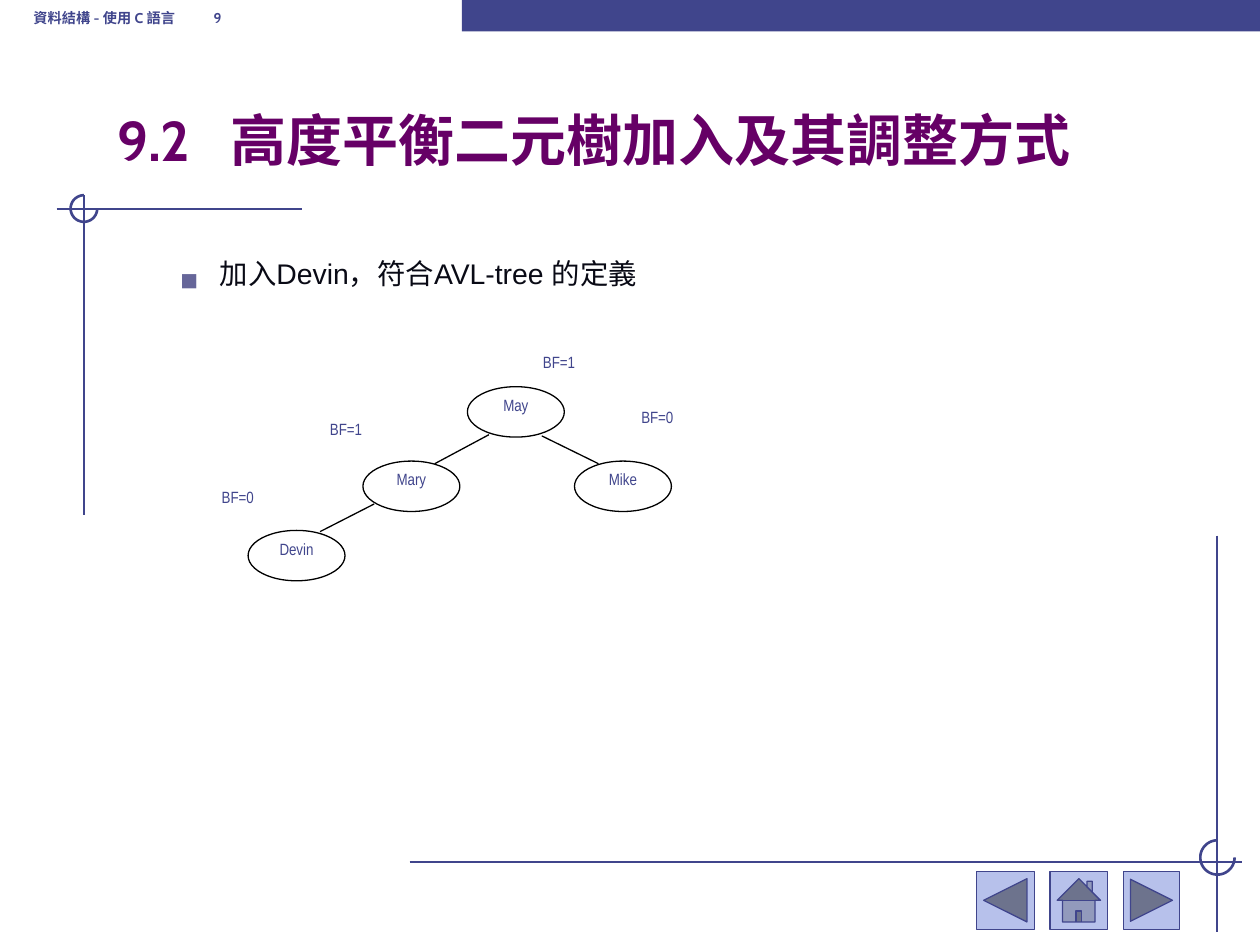
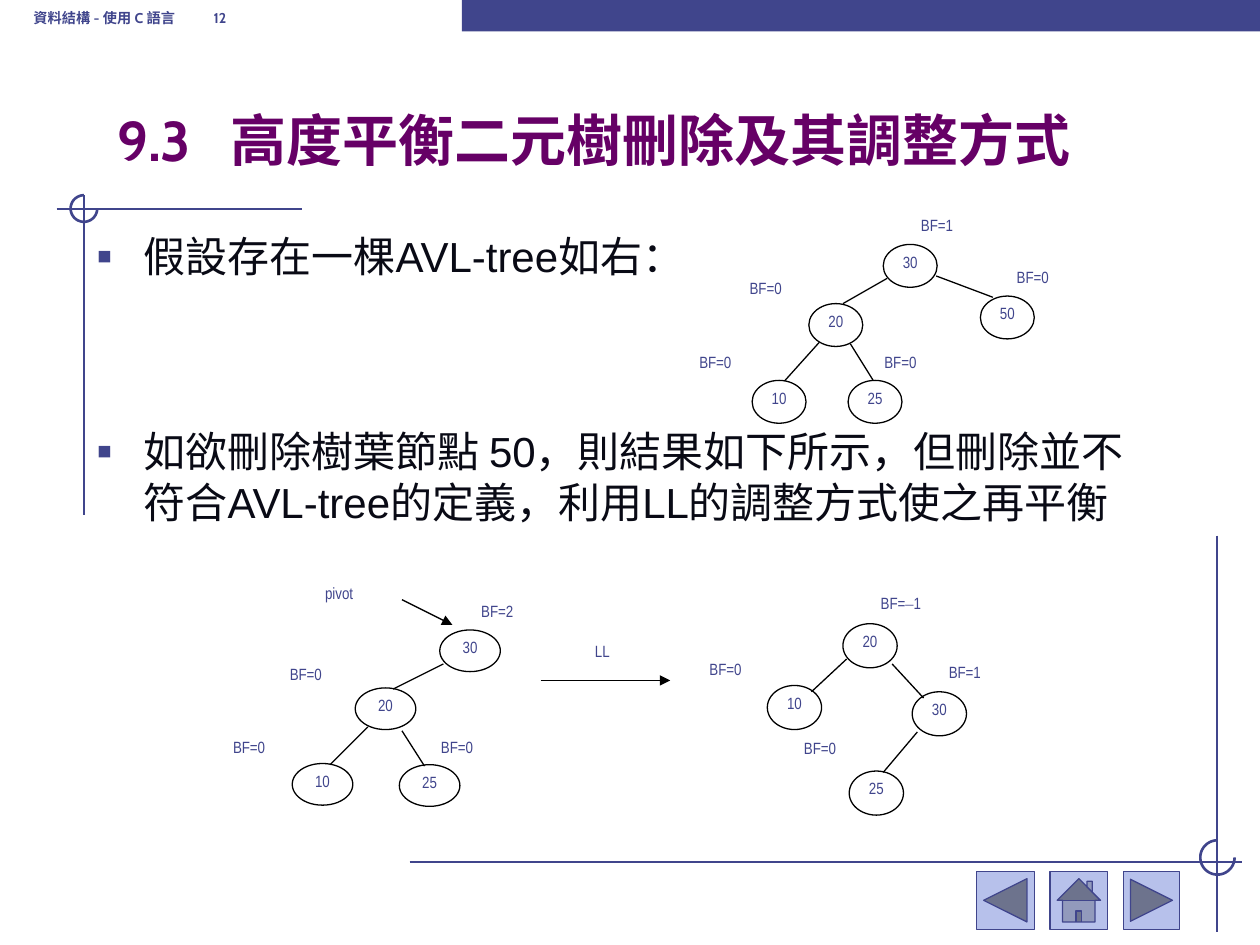
from itertools import groupby
from math import cos, radians, sin

from lxml.etree import SubElement
from pptx import Presentation
from pptx.dml.color import RGBColor
from pptx.enum.shapes import MSO_CONNECTOR, MSO_SHAPE
from pptx.enum.text import MSO_ANCHOR, PP_ALIGN
from pptx.oxml.ns import qn
from pptx.util import Pt

INDIGO, PLUM, INK, BLACK = "40458C", "660066", "090A15", "000000"
BUTTON_BLUE, BULLET_GREY = "B7C1EB", "666699"
HEADING_FONT, BODY_FONT, LABEL_FONT, DASH_FONT = "Cabin", "Arial", "Arial Narrow", "Times New Roman"
COURSE = "資料結構 - 使用 C 語言"

RULES = [(32.4, 119.5, 172.8, 119.5), (48, 111.6, 48, 294.5),
         (234, 492.5, 710, 492.5), (695.5, 306, 695.5, 532.8)]
RINGS = [(48, 119.2, 7.6), (695.7, 490, 9.8)]
BUTTONS = [
    (MSO_SHAPE.ACTION_BUTTON_BACK_OR_PREVIOUS, 558, 33),
    (MSO_SHAPE.ACTION_BUTTON_HOME, 600, 33),
    (MSO_SHAPE.ACTION_BUTTON_FORWARD_OR_NEXT, 642, 32),
]

DEVIN_TREE = {
    "node_size": (55.4, 28.8),
    "nodes": [("May", 267.1, 221), ("Mary", 207.4, 263.5), ("Mike", 328.3, 263.5),
              ("Devin", 141.8, 303.1)],
    "edges": [(279.4, 248.4, 248.4, 265), (309.6, 249.1, 342, 265),
              (213.8, 288, 182.9, 303.8)],
    "labels": [("BF=1", 310.3, 200.9), ("BF=1", 188.6, 239), ("BF=0", 366.5, 231.8),
               ("BF=0", 126.7, 277.9)],
}
FULL_TREE = {
    "node_size": (30.8, 24.5),
    "nodes": [("30", 504.7, 139.7), ("20", 462.2, 173.5), ("50", 560.2, 169.2),
              ("10", 429.8, 217.4), ("25", 484.6, 217.4)],
    "edges": [(481.7, 173.5, 506.9, 159.1), (535, 157.7, 567.4, 169.9),
              (448.6, 217.4, 468, 195.8), (486, 196.6, 499, 217.4)],
    "labels": [("BF=1", 526.3, 122.4), ("BF=0", 428.4, 158.4), ("BF=0", 581, 151.9),
               ("BF=0", 399.6, 200.9), ("BF=0", 505.4, 200.9)],
}
UNBALANCED_TREE = {
    "node_size": (34.6, 23.8),
    "nodes": [("30", 251.3, 360), ("20", 203, 393.1), ("10", 167, 436.3), ("25", 228.2, 437)],
    "edges": [(224.6, 393.8, 253.4, 379.4), (188.6, 437, 210.2, 415.4),
              (229.7, 417.6, 242.6, 437.8)],
    "labels": [("BF=2", 275, 342.7), ("pivot", 185.8, 332.6), ("BF=0", 165.6, 378.7),
               ("BF=0", 133.2, 420.5), ("BF=0", 252, 420.5)],
}
ROTATED_TREE = {
    "node_size": (31, 25.2),
    "nodes": [("20", 481.7, 356.4), ("10", 438.5, 391.7), ("30", 521.3, 395.3),
              ("25", 485.3, 440.6)],
    "edges": [(463.7, 395.3, 483.8, 376.6), (509.8, 379.4, 527.8, 398.9),
              (504.7, 441.4, 524.2, 418.3)],
    "labels": [("BF=–1", 503.3, 338.4), ("BF=0", 405.4, 375.8), ("BF=1", 542.2, 378),
               ("BF=0", 459.4, 421.2)],
}

SLIDES = [
    {
        "number": 9, "section": "9.2", "title": "高度平衡二元樹加入及其調整方式",
        "body": (60, 139.7, 634, 293),
        "paragraphs": ["加入Devin，符合AVL-tree 的定義"],
        "style": {"size": 28, "raised": True},
        "bullet": ("■", BULLET_GREY, 60, 58.5, -22.5), "gap": 0,
        "trees": [DEVIN_TREE], "labels": [], "arrows": [],
    },
    {
        "number": 12, "section": "9.3", "title": "高度平衡二元樹刪除及其調整方式",
        "body": (48, 128, 605.5, 293),
        "paragraphs": ["假設存在一棵AVL-tree如右：",
                       "如欲刪除樹葉節點 50，則結果如下所示，但刪除並不符合AVL-tree的定義，"
                       "利用LL的調整方式使之再平衡"],
        "style": {"size": 24},
        "bullet": ("▪", INDIGO, 110, 27, -27), "gap": 83,
        "trees": [FULL_TREE, UNBALANCED_TREE, ROTATED_TREE],
        "labels": [("LL", 340, 366)],
        "arrows": [(229.7, 342.7, 258.5, 357.1), (308.9, 388.8, 383, 388.8)],
    },
]


def color(value):
    return RGBColor.from_string(value)


def style_run(span, font, size, value, bold=False, raised=False):
    span.font.name = font
    span.font.size = Pt(size)
    span.font.bold = bold
    span.font.color.rgb = color(value)
    if raised:
        span._r.get_or_add_rPr().set("baseline", "30000")


def add_box(page, frame, anchor=MSO_ANCHOR.TOP):
    box = page.shapes.add_textbox(*map(Pt, frame))
    box.text_frame.word_wrap = True
    box.text_frame.vertical_anchor = anchor
    return box


def add_tab(para, position):
    tabs = SubElement(para._p.get_or_add_pPr(), qn("a:tabLst"))
    SubElement(tabs, qn("a:tab"), pos=str(Pt(position)), algn="l")


def add_bullet(para, mark, value, percent, margin, indent):
    properties = para._p.get_or_add_pPr()
    properties.set("marL", str(Pt(margin)))
    properties.set("indent", str(Pt(indent)))
    SubElement(SubElement(properties, qn("a:buClr")), qn("a:srgbClr"), val=value)
    SubElement(properties, qn("a:buSzPct"), val=str(percent * 1000))
    SubElement(properties, qn("a:buFont"), typeface=BODY_FONT)
    SubElement(properties, qn("a:buChar"), char=mark)


def add_heading(page, frame, text, tab, size, value, raised=False):
    para = add_box(page, frame, MSO_ANCHOR.BOTTOM).text_frame.paragraphs[0]
    para.text = text
    add_tab(para, tab)
    style_run(para.runs[0], HEADING_FONT, size, value, True, raised)


def add_line(page, ends, value=BLACK, width=0.75, arrow=False):
    line = page.shapes.add_connector(MSO_CONNECTOR.STRAIGHT, *map(Pt, ends))
    line.line.color.rgb = color(value)
    line.line.width = Pt(width)
    if arrow:
        SubElement(line.line._get_or_add_ln(), qn("a:tailEnd"), type="triangle")
    SubElement(line._element.spPr, qn("a:effectLst"))


def outline(shape, value, width, fill=None):
    shape.shadow.inherit = False
    if fill:
        shape.fill.solid()
        shape.fill.fore_color.rgb = color(fill)
    else:
        shape.fill.background()
    shape.line.color.rgb = color(value)
    shape.line.width = Pt(width)


def write_label(box, text, alignment):
    frame = box.text_frame
    frame.margin_left = frame.margin_right = frame.margin_top = frame.margin_bottom = 0
    frame.word_wrap = True
    frame.vertical_anchor = MSO_ANCHOR.TOP
    para = frame.paragraphs[0]
    para.alignment = alignment
    para.line_spacing = 0.96
    for is_dash, letters in groupby(text, lambda letter: letter == "–"):
        span = para.add_run()
        span.text = "".join(letters)
        style_run(span, DASH_FONT if is_dash else LABEL_FONT, 16, INDIGO, raised=True)


def add_label(page, text, left, top):
    write_label(add_box(page, (left, top, 50, 18)), text, PP_ALIGN.LEFT)


def add_tree(page, tree):
    for ends in tree["edges"]:
        add_line(page, ends)
    for name, left, top in tree["nodes"]:
        node = page.shapes.add_shape(MSO_SHAPE.OVAL, *map(Pt, (left, top, *tree["node_size"])))
        outline(node, BLACK, 0.75)
        write_label(node, name, PP_ALIGN.CENTER)
    for label in tree["labels"]:
        add_label(page, *label)


def add_ring(page, center_x, center_y, radius):
    points = [(Pt(center_x - radius * sin(radians(angle))),
               Pt(center_y - radius * cos(radians(angle)))) for angle in range(0, 271, 6)]
    builder = page.shapes.build_freeform(*points[0], scale=1.0)
    builder.add_line_segments(points[1:], close=False)
    outline(builder.convert_to_shape(), INDIGO, 1.5)


def add_frame(page, number):
    band = page.shapes.add_shape(MSO_SHAPE.RECTANGLE, *map(Pt, (264, 0, 456, 18)))
    outline(band, INDIGO, 0.75, INDIGO)
    band.line.fill.background()
    for ends in RULES:
        add_line(page, ends, INDIGO, 1.5)
    for ring in RINGS:
        add_ring(page, *ring)
    for kind, left, width in BUTTONS:
        button = page.shapes.add_shape(kind, *map(Pt, (left, 498, width, 33)))
        outline(button, INDIGO, 0.75, BUTTON_BLUE)
    add_heading(page, (12, -12, 222, 36), f"{COURSE}\t{number}", 103, 14, INDIGO, True)


def add_body(page, content):
    frame = add_box(page, content["body"]).text_frame
    frame.text = "\n".join(content["paragraphs"])
    for index, para in enumerate(frame.paragraphs):
        add_bullet(para, *content["bullet"])
        if index:
            para.space_before = Pt(content["gap"])
        style_run(para.runs[0], BODY_FONT, value=INK, **content["style"])


def main():
    deck = Presentation()
    deck.slide_width, deck.slide_height = Pt(720), Pt(540)
    for content in SLIDES:
        page = deck.slides.add_slide(deck.slide_layouts[6])
        add_frame(page, content["number"])
        add_heading(page, (60, 42, 612, 60), f"{content['section']}\t{content['title']}",
                    64.5, 32, PLUM)
        add_body(page, content)
        for tree in content["trees"]:
            add_tree(page, tree)
        for label in content["labels"]:
            add_label(page, *label)
        for ends in content["arrows"]:
            add_line(page, ends, arrow=True)
    deck.save("out.pptx")


if __name__ == "__main__":
    main()
